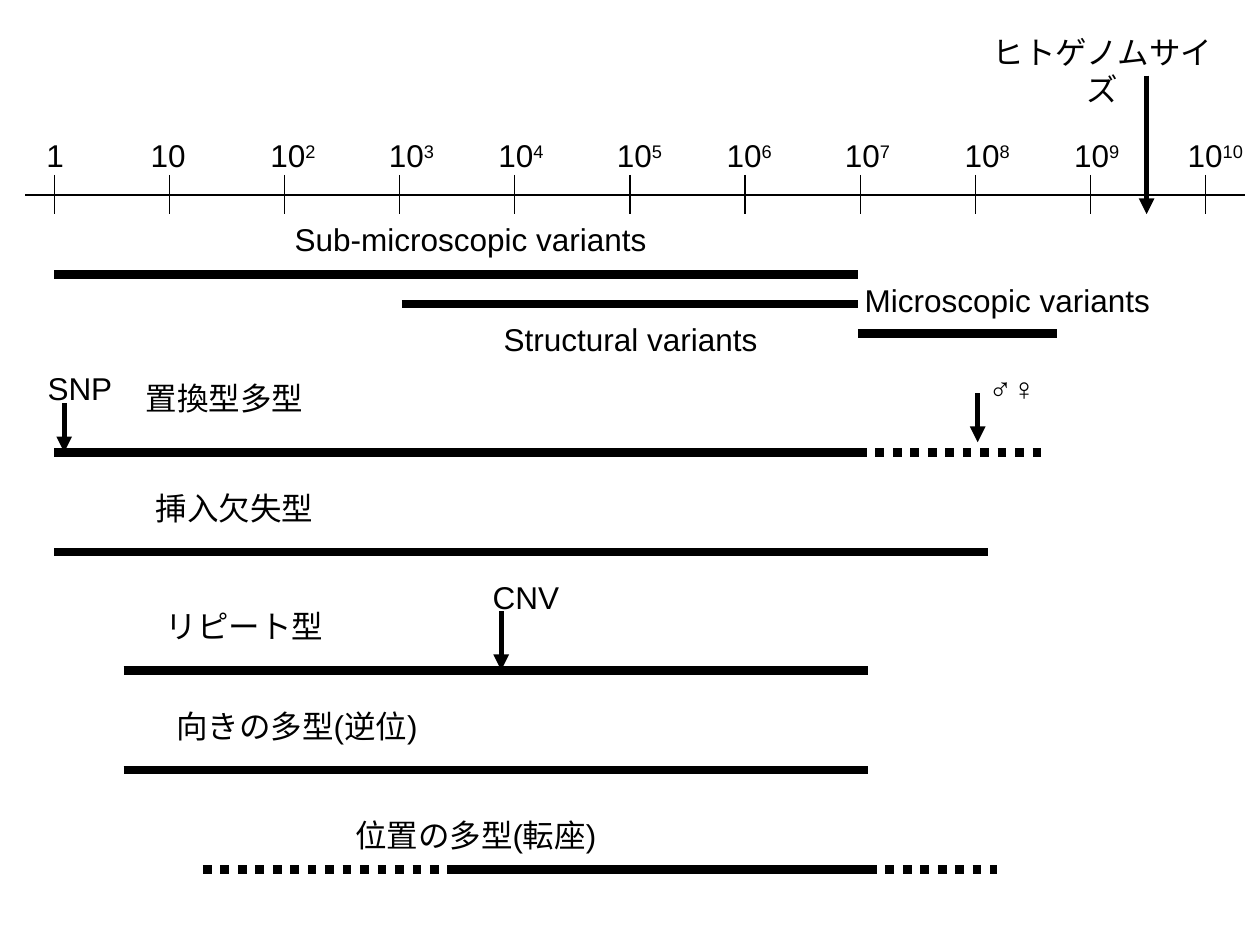
from lxml.etree import SubElement
from pptx import Presentation
from pptx.dml.color import RGBColor
from pptx.enum.dml import MSO_LINE as Dash
from pptx.enum.shapes import MSO_CONNECTOR as Link
from pptx.enum.text import MSO_AUTO_SIZE as Fit, PP_ALIGN as Align
from pptx.oxml.ns import qn
from pptx.util import Pt

BLACK = RGBColor(0, 0, 0)
THIN, ARROW, BAR = 0.75, 3, 5


def write(par, text, size=18, font="Arial", color=BLACK, sup=False):
    run = par.add_run()
    run.text = text
    run.font.size = Pt(size)
    run.font.name = font
    run.font.color.rgb = color
    if sup:
        run._r.get_or_add_rPr().set("baseline", "30000")


class Chart:
    """Draws the parts of the size map on one slide."""

    def __init__(self, slide, color=BLACK):
        self.slide = slide
        self.color = color

    def line(self, x1, y1, x2, y2, width=THIN, dash=None):
        link = self.slide.shapes.add_connector(
            Link.STRAIGHT, Pt(x1), Pt(y1), Pt(x2), Pt(y2))
        link.line.color.rgb = self.color
        link.line.width = Pt(width)
        if dash:
            link.line.dash_style = dash
        SubElement(link._element.spPr, qn("a:effectLst"))
        return link

    def arrow(self, x, top, end):
        link = self.line(x, top, x, end, ARROW)
        SubElement(link.line._get_or_add_ln(), qn("a:tailEnd"), type="triangle")

    def bar(self, y, *parts):
        """Each part is start, end and whether it is dotted."""
        links = [self.line(a, y, b, y, BAR, Dash.ROUND_DOT if dots else None)
                 for a, b, dots in parts]
        if len(links) > 1:
            self.slide.shapes.add_group_shape(links)

    def label(self, text, x, y, w, h=29, sup="", align=Align.CENTER):
        box = self.slide.shapes.add_textbox(Pt(x), Pt(y), Pt(w), Pt(h))
        frame = box.text_frame
        frame.word_wrap = True
        frame.auto_size = Fit.SHAPE_TO_FIT_TEXT
        par = frame.paragraphs[0]
        par.alignment = align
        write(par, text)
        if sup:
            write(par, sup, sup=True)


def main():
    deck = Presentation()
    deck.slide_width, deck.slide_height = Pt(720), Pt(540)
    chart = Chart(deck.slides.add_slide(deck.slide_layouts[6]))

    # Log scale: axis, ticks and powers of ten
    left, step = 31, 65.8
    chart.line(14.4, 111.4, 711.4, 111.4)
    lefts = [19.4, 70.6, 144.7, 212.4, 275, 342.7, 405.4, 473, 541.4, 604, 666]
    widths = [22.3, 51] + [45.4] * 8 + [57]
    for power, (x, w) in enumerate(zip(lefts, widths)):
        tick = left + power * step
        chart.line(tick, 100, tick, 122.4)
        chart.label("10" if power else "1", x, 74.2, w,
                    sup=str(power) if power > 1 else "")

    # Variant classes and the types of polymorphism
    for y, *parts in [
        (156.8, (left, 490.3, False)),
        (173.7, (229.7, 490.3, False)),
        (190.7, (490.3, 604, False)),
        (258.6, (left, 490.3, False), (490.3, 598.3, True)),
        (315.4, (left, 564.5, False)),
        (383.2, (70.6, 496, False)),
        (440, (70.6, 496, False)),
        (496.8, (257.8, 496, False), (116, 257.8, True), (496, 569.5, True)),
    ]:
        chart.bar(y, *parts)

    # Point marks
    for x, top, end in [(655.2, 43.2, 122.4), (36.7, 230.4, 258.5),
                        (286.4, 349.2, 383), (558.7, 224.6, 252.7)]:
        chart.arrow(x, top, end)

    # Centred captions
    for text, x, y, w in [
        ("Sub-microscopic variants", 121.7, 122.4, 294.5),
        ("Structural variants", 241.2, 179.3, 238.3),
        ("Microscopic variants", 456.5, 157, 238.3),
        ("SNP", 14.4, 207.4, 62.6),
        ("CNV", 269.3, 326.9, 62.6),
        ("♂♀", 547.2, 207.4, 62.6),
    ]:
        chart.label(text, x, y, w)
    chart.label("ヒトゲノムサイズ", 553, 15.1, 153.4, 50.4)

    # Names of the polymorphism types
    for text, x, y, w in [
        ("置換型多型", 76.3, 213.1, 136),
        ("挿入欠失型", 82, 275.8, 136),
        ("リピート型", 87.8, 343.4, 136),
        ("向きの多型(逆位)", 93.6, 400.3, 175.7),
        ("位置の多型(転座)", 195.8, 463, 181.4),
    ]:
        chart.label(text, x, y, w, align=Align.LEFT)

    deck.save("out.pptx")


if __name__ == "__main__":
    main()
